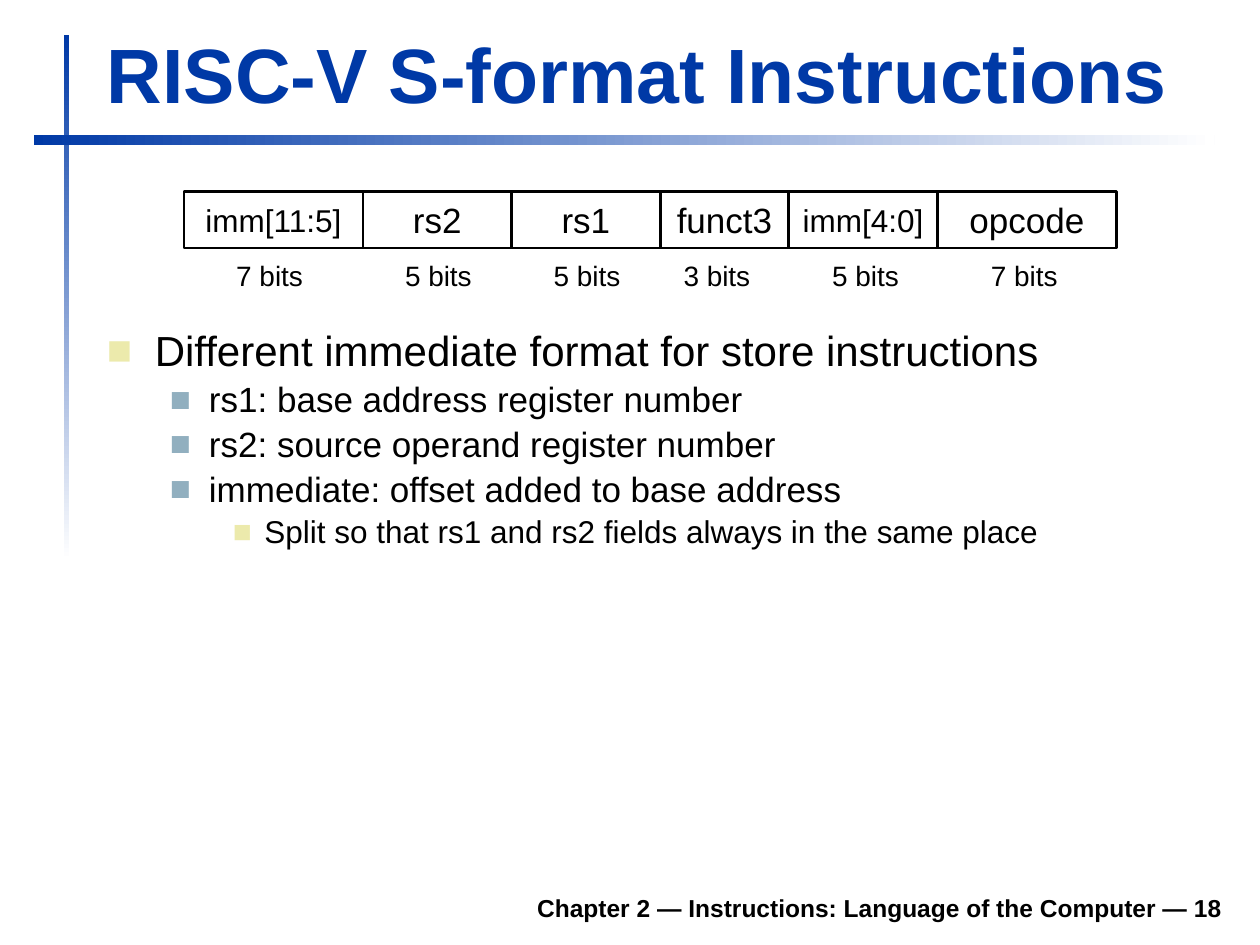
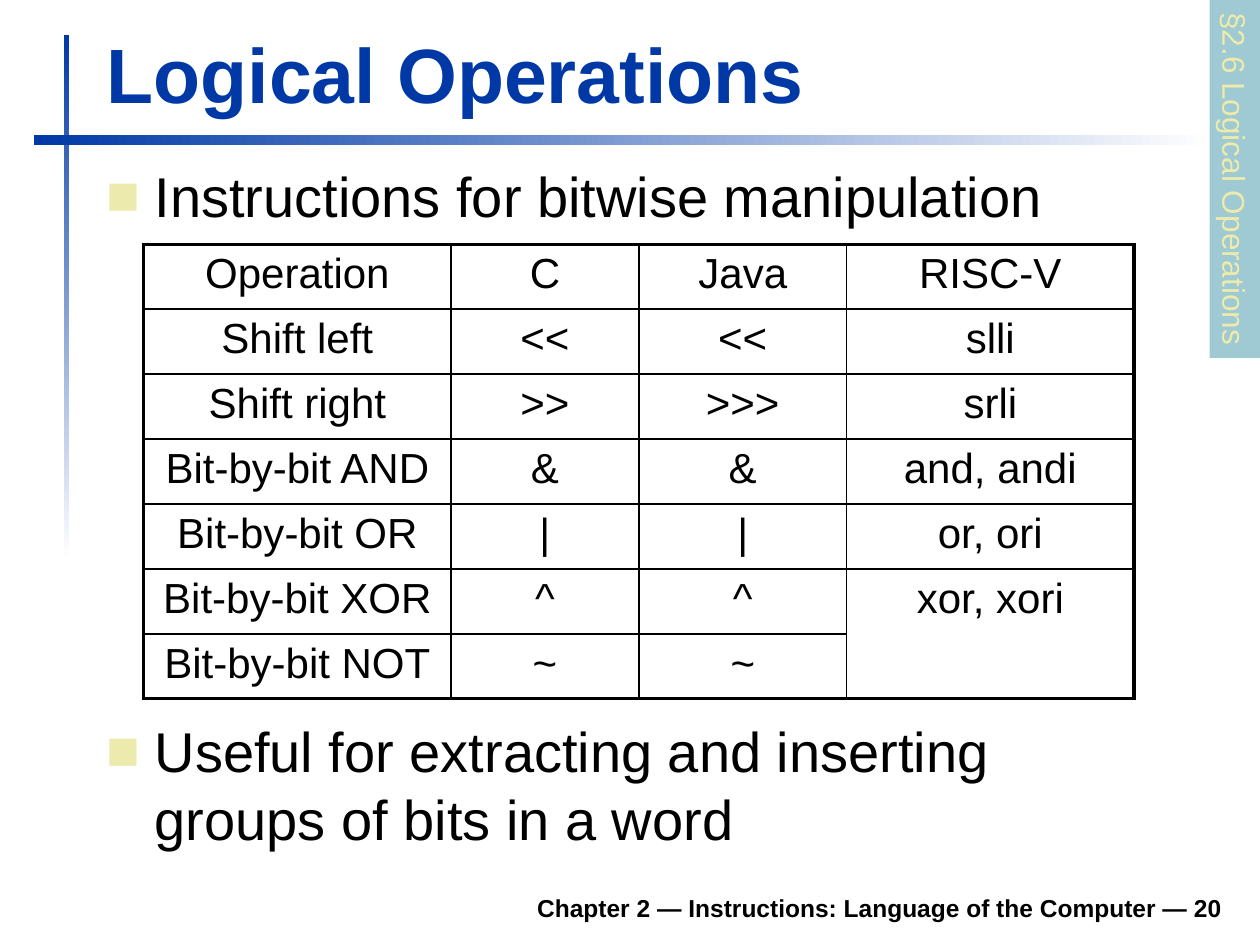
import pptx
import pptx.dml.color
import pptx.enum.shapes
import pptx.enum.text
import pptx.util
import lxml.etree

Inches = pptx.util.Inches
Pt = pptx.util.Pt
Align = pptx.enum.text.PP_ALIGN
Anchor = pptx.enum.text.MSO_ANCHOR

FONT = "Arial"
BLUE, BLACK, WHITE = "0039A6", "000000", "FFFFFF"
CREAM, STEEL, TEAL = "ECEAAC", "91AFBF", "9FCAD3"
A = "{http://schemas.openxmlformats.org/drawingml/2006/main}"

# Bullet levels: text indent, hanging width, bullet colour
LEVELS = [(0.38, 0.38, CREAM), (0.81, 0.31, STEEL), (1.25, 0.25, CREAM)]


def color(hex_string):
    return pptx.dml.color.RGBColor.from_string(hex_string)


class Deck:
    """Holds the shared style and the slide being built."""

    def __init__(self):
        self.presentation = pptx.Presentation()
        self.presentation.slide_width = Inches(10)
        self.presentation.slide_height = Inches(7.5)
        self.slide = None

    def new_slide(self, title, number):
        self.slide = self.presentation.slides.add_slide(self.presentation.slide_layouts[6])
        self.gradient_bar(0.51, 0.28, 0.04, 4.17, 270)
        self.gradient_bar(0.27, 1.07, 9.37, 0.08, 0)
        self.text(1.85, 6.98, 7.95, 0.39,
                  f"Chapter 2 — Instructions: Language of the Computer — {number}",
                  14, align=Align.RIGHT, anchor=Anchor.BOTTOM, bold=True)
        self.text(0.75, 0.16, 9.03, 0.83, title, 44, BLUE, anchor=Anchor.BOTTOM, bold=True)

    def style(self, paragraph, text, size, hex_color=BLACK, align=Align.LEFT, bold=False):
        paragraph.text = text
        paragraph.alignment = align
        paragraph.font.name = FONT
        paragraph.font.size = Pt(size)
        paragraph.font.bold = bold
        paragraph.font.color.rgb = color(hex_color)

    def text(self, left, top, width, height, text, size, hex_color=BLACK,
             align=Align.LEFT, anchor=Anchor.TOP, bold=False):
        frame = self.slide.shapes.add_textbox(
            Inches(left), Inches(top), Inches(width), Inches(height)).text_frame
        frame.word_wrap = True
        frame.vertical_anchor = anchor
        self.style(frame.paragraphs[0], text, size, hex_color, align, bold)

    def rectangle(self, left, top, width, height):
        box = self.slide.shapes.add_shape(
            pptx.enum.shapes.MSO_SHAPE.RECTANGLE,
            Inches(left), Inches(top), Inches(width), Inches(height))
        box.shadow.inherit = False
        box.line.fill.background()
        return box

    def gradient_bar(self, left, top, width, height, angle):
        fill = self.rectangle(left, top, width, height).fill
        fill.gradient()
        fill.gradient_angle = angle
        for stop, hex_color, position in zip(fill.gradient_stops, (BLUE, WHITE), (0, 1)):
            stop.color.rgb = color(hex_color)
            stop.position = position

    def field(self, left, top, width, height, name, size):
        box = self.rectangle(left, top, width, height)
        box.fill.background()
        box.line.color.rgb = color(BLACK)
        box.line.width = Pt(1.5)
        frame = box.text_frame
        frame.margin_left = frame.margin_right = 0
        frame.vertical_anchor = Anchor.MIDDLE
        self.style(frame.paragraphs[0], name, size, align=Align.CENTER)

    def side_tab(self, left, top, width, height, text):
        tab = self.rectangle(left, top, width, height)
        tab.rotation = 90
        tab.fill.solid()
        tab.fill.fore_color.rgb = color(TEAL)
        tab.text_frame.word_wrap = True
        tab.text_frame.vertical_anchor = Anchor.TOP
        self.style(tab.text_frame.paragraphs[0], text, 18, CREAM)

    def bullets(self, left, top, width, height, items, line_spacing=None):
        """Each item is (level, size, space before, text)."""
        frame = self.slide.shapes.add_textbox(
            Inches(left), Inches(top), Inches(width), Inches(height)).text_frame
        frame.word_wrap = True
        for index, (level, size, space, text) in enumerate(items):
            paragraph = frame.add_paragraph() if index else frame.paragraphs[0]
            self.style(paragraph, text, size)
            paragraph.level = level
            paragraph.space_before = Pt(space)
            if line_spacing:
                paragraph.line_spacing = line_spacing
            indent, hanging, bullet_color = LEVELS[level]
            properties = paragraph._p.get_or_add_pPr()
            properties.set("marL", str(Inches(indent)))
            properties.set("indent", str(-Inches(hanging)))
            # Bullet parts go before the default run properties
            bullet = [lxml.etree.Element(A + tag) for tag in ("buClr", "buFont", "buChar")]
            lxml.etree.SubElement(bullet[0], A + "srgbClr", val=bullet_color)
            bullet[1].set("typeface", FONT)
            bullet[2].set("char", "■")
            defaults = properties.find(A + "defRPr")
            for part in bullet:
                defaults.addprevious(part)

    def table(self, left, top, widths, row_height, rows, size, merge):
        grid = self.slide.shapes.add_table(
            len(rows), len(widths), Inches(left), Inches(top),
            Inches(sum(widths)), Inches(row_height * len(rows))).table
        grid.first_row = grid.horz_banding = False
        for column, width in zip(grid.columns, widths):
            column.width = Inches(width)
        for row in grid.rows:
            row.height = Inches(row_height)
        first, last = merge
        grid.cell(*first).merge(grid.cell(*last))
        for r, row in enumerate(rows):
            for c, text in enumerate(row):
                cell = grid.cell(r, c)
                cell.fill.background()
                if not cell.is_spanned:
                    self.style(cell.text_frame.paragraphs[0], text, size, align=Align.CENTER)
                bottom_row = r + (cell.span_height if cell.is_merge_origin else 1) == len(rows)
                self.borders(cell, {
                    "lnL": 2.25 if c == 0 else 1,
                    "lnR": 2.25 if c == len(widths) - 1 else 1,
                    "lnT": 0 if cell.is_spanned else {0: 2.25, 1: 1.5}.get(r, 1),
                    "lnB": 2.25 if bottom_row else 1.5 if r == 0 else 1,
                })

    def borders(self, cell, line_widths):
        properties = cell._tc.get_or_add_tcPr()
        for index, (side, width) in enumerate(line_widths.items()):
            line = lxml.etree.Element(A + side, w=str(Pt(width)))
            if width:
                fill = lxml.etree.SubElement(line, A + "solidFill")
                lxml.etree.SubElement(fill, A + "srgbClr", val=BLACK)
            else:
                lxml.etree.SubElement(line, A + "noFill")
            properties.insert(index, line)


def s_format(deck):
    deck.new_slide("RISC-V S-format Instructions", 18)

    # Instructions fields: name, text size, width, bits, centre of the bits label
    fields = [
        ("imm[11:5]", 18, 1.42, 7, 2.14),
        ("rs2", 20, 1.18, 5, 3.48),
        ("rs1", 20, 1.18, 5, 4.66),
        ("funct3", 20, 1.02, 3, 5.69),
        ("imm[4:0]", 18, 1.18, 5, 6.87),
        ("opcode", 20, 1.42, 7, 8.13),
    ]
    left = 1.46
    for name, size, width, bits, center in fields:
        deck.field(left, 1.52, width, 0.45, name, size)
        deck.text(center - 0.4, 2, 0.8, 0.37, f"{bits} bits", 16, align=Align.CENTER)
        left += width

    # Explanation
    deck.bullets(0.75, 2.57, 9.05, 4.25, [
        (0, 24, 0, "Different immediate format for store instructions"),
        (1, 20, 4, "rs1: base address register number"),
        (1, 20, 4, "rs2: source operand register number"),
        (1, 20, 4, "immediate: offset added to base address"),
        (2, 18, 3.6, "Split so that rs1 and rs2 fields always in the same place"),
    ], line_spacing=0.9)


def logical_operations(deck):
    deck.new_slide("Logical Operations", 20)
    deck.bullets(0.75, 1.23, 9.05, 0.76, [(0, 32, 0, "Instructions for bitwise manipulation")])

    # Operators by language
    operations = [
        ("Operation", "C", "Java", "RISC-V"),
        ("Shift left", "<<", "<<", "slli"),
        ("Shift right", ">>", ">>>", "srli"),
        ("Bit-by-bit AND", "&", "&", "and, andi"),
        ("Bit-by-bit OR", "|", "|", "or, ori"),
        ("Bit-by-bit XOR", "^", "^", "xor, xori"),
        ("Bit-by-bit NOT", "~", "~", ""),
    ]
    deck.table(1.14, 1.94, [2.44, 1.49, 1.65, 2.28], 0.515, operations, 24,
               merge=((5, 3), (6, 3)))

    deck.bullets(0.75, 5.64, 8.5, 1.02, [
        (0, 32, 0, "Useful for extracting and inserting groups of bits in a word")])
    deck.side_tab(8.38, 1.22, 2.84, 0.4, "§2.6 Logical Operations")


def main():
    deck = Deck()
    s_format(deck)
    logical_operations(deck)
    deck.presentation.save("out.pptx")


if __name__ == "__main__":
    main()
